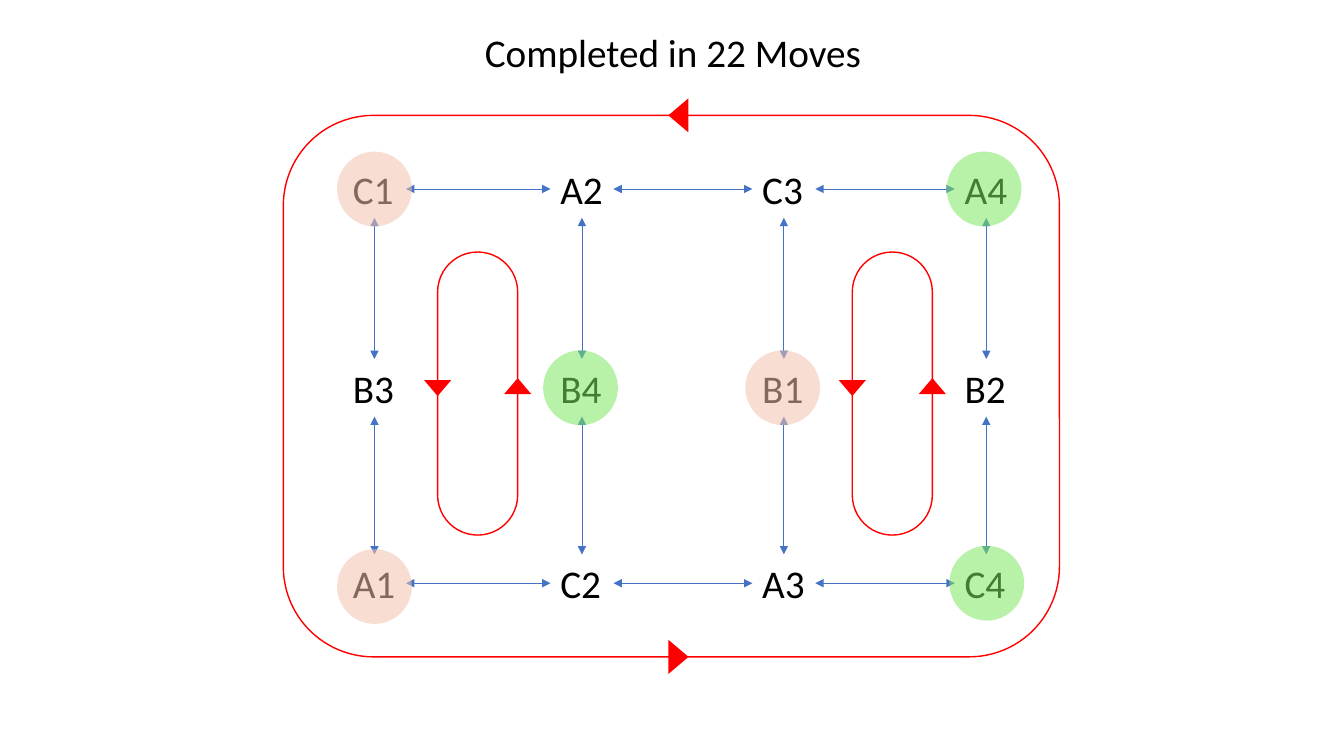
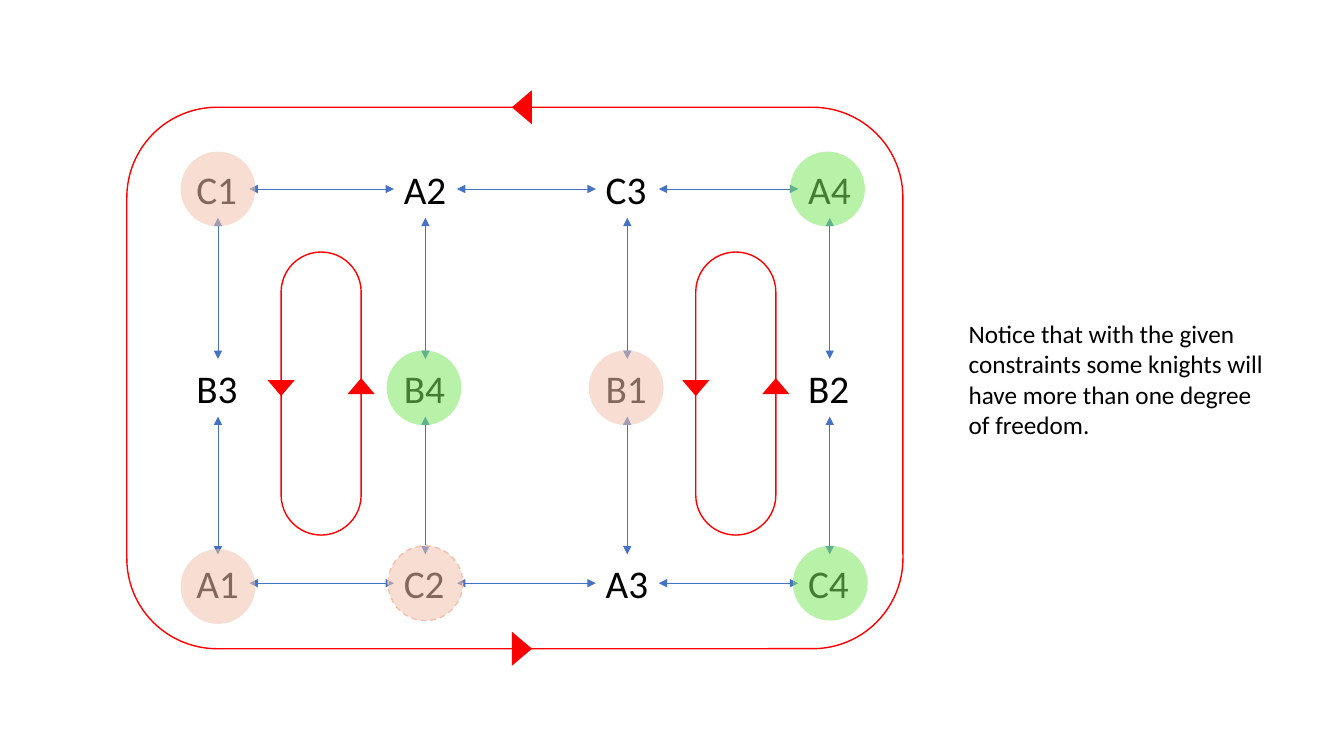
"""Draw two boards of knights on linked squares, with the turning directions."""
from dataclasses import dataclass
from itertools import pairwise, product
from typing import Optional

from pptx import Presentation
from pptx.dml.color import RGBColor
from pptx.enum.dml import MSO_LINE
from pptx.enum.shapes import MSO_CONNECTOR, MSO_SHAPE
from pptx.enum.text import MSO_AUTO_SIZE
from pptx.oxml import parse_xml
from pptx.oxml.ns import nsdecls, qn
from pptx.shapes.autoshape import Shape
from pptx.slide import Slide
from pptx.util import Pt

COLORS = {"text": "000000", "link": "4472C4", "turn": "FF0000",
          "green": "7CE75F", "peach": "F2C2AC"}
FONT = "Calibri"
TOKEN_ALPHA = 54000

SQUARES = (("C1", "A2", "C3", "A4"), ("B3", "B4", "B1", "B2"), ("A1", "C2", "A3", "C4"))
COLUMNS = (42.6, 190.8, 335, 479.6)
ROWS = (114.4, 256.4, 396)
LABEL_WIDTH, LABEL_HEIGHT = 45, 41.2
TOKEN_SIZE = 53.4
FRAME_WIDTH, FRAME_HEIGHT = 554.4, 386.8
FRAME_ARROW_X = 282.2
LOOP_OFFSETS = (110.2, 406.4)
LOOP_TOP, LOOP_WIDTH, LOOP_HEIGHT = 180, 57.2, 202.2
LOOP_DOWN_Y, LOOP_UP_Y = 277.2, 275.8
FRAME_ARROW = (24.4, 14.4)
LOOP_ARROW = (19.4, 11.4)


@dataclass(frozen=True)
class Token:
    square: str
    color: str
    nudge_x: float = 0
    nudge_y: float = 0
    dashed: bool = False


@dataclass(frozen=True)
class Caption:
    lines: tuple[str, ...]
    left: float
    top: float
    width: float
    height: float
    size: float
    wrap: bool = False


@dataclass(frozen=True)
class Board:
    left: float
    frame_top: float
    tokens: tuple[Token, ...]
    caption: Caption


TOKENS = (
    Token("B4", "green", -1), Token("A1", "peach", 0, 2.4), Token("B1", "peach", -0.8),
    Token("C1", "peach"), Token("C4", "green", 0.4), Token("A4", "green", -1.6),
)
BOARDS = (
    Board(202.4, 82.4, TOKENS,
          Caption(("Completed in 22 Moves",), 339.2, 16.6, 386, 41.2, 28, True)),
    Board(90.6, 76.6, TOKENS + (Token("C2", "peach", 0, 0, True),),
          Caption(("Notice that with the given", "constraints some knights will",
                   "have more than one degree", "of freedom."),
                  684.8, 224, 226.8, 94.4, 18)),
)


def rgb(name: str) -> RGBColor:
    return RGBColor.from_string(COLORS[name])


def add_text(slide: Slide, caption: Caption) -> None:
    box = slide.shapes.add_textbox(Pt(caption.left), Pt(caption.top),
                                   Pt(caption.width), Pt(caption.height))
    frame = box.text_frame
    frame.word_wrap = caption.wrap
    frame.auto_size = MSO_AUTO_SIZE.SHAPE_TO_FIT_TEXT
    for index, line in enumerate(caption.lines):
        paragraph = frame.add_paragraph() if index else frame.paragraphs[0]
        run = paragraph.add_run()
        run.text = line
        run.font.name = FONT
        run.font.size = Pt(caption.size)
        run.font.color.rgb = rgb("text")


def add_link(slide: Slide, x1: float, y1: float, x2: float, y2: float) -> None:
    connector = slide.shapes.add_connector(MSO_CONNECTOR.STRAIGHT,
                                           Pt(x1), Pt(y1), Pt(x2), Pt(y2))
    connector.line.color.rgb = rgb("link")
    connector.line.width = Pt(0.5)
    properties = connector.element.spPr
    outline = properties.find(qn("a:ln"))
    for end in ("headEnd", "tailEnd"):
        outline.append(parse_xml(f'<a:{end} {nsdecls("a")} type="triangle"/>'))
    properties.append(parse_xml(f'<a:effectLst {nsdecls("a")}/>'))


def add_shape(slide: Slide, kind: MSO_SHAPE, left: float, top: float, width: float,
              height: float, fill: Optional[str] = None,
              line: Optional[str] = None) -> Shape:
    shape = slide.shapes.add_shape(kind, Pt(left), Pt(top), Pt(width), Pt(height))
    shape.shadow.inherit = False
    if fill:
        shape.fill.solid()
        shape.fill.fore_color.rgb = rgb(fill)
    else:
        shape.fill.background()
    if line:
        shape.line.color.rgb = rgb(line)
        shape.line.width = Pt(1)
    else:
        shape.line.fill.background()
    return shape


def add_arrow(slide: Slide, center_x: float, center_y: float,
              size: tuple[float, float], rotation: float) -> None:
    width, height = size
    arrow = add_shape(slide, MSO_SHAPE.ISOSCELES_TRIANGLE, center_x - width / 2,
                      center_y - height / 2, width, height, "turn")
    arrow.rotation = rotation


def add_squares(slide: Slide, board: Board) -> None:
    columns = [board.left + offset for offset in COLUMNS]
    for top, names in zip(ROWS, SQUARES):
        for left, name in zip(columns, names):
            add_text(slide, Caption((name,), left, top, LABEL_WIDTH, LABEL_HEIGHT, 28))
    for left, (upper, lower) in product(columns, pairwise(ROWS)):
        x = left + LABEL_WIDTH / 2
        add_link(slide, x, upper + LABEL_HEIGHT, x, lower)
    for top, (left, right) in product((ROWS[0], ROWS[-1]), pairwise(columns)):
        y = top + LABEL_HEIGHT / 2
        add_link(slide, left + LABEL_WIDTH, y, right, y)


def add_token(slide: Slide, board: Board, token: Token) -> None:
    row = next(index for index, names in enumerate(SQUARES) if token.square in names)
    column = SQUARES[row].index(token.square)
    left = board.left + COLUMNS[column] + (LABEL_WIDTH - TOKEN_SIZE) / 2 + token.nudge_x
    top = ROWS[row] + (LABEL_HEIGHT - TOKEN_SIZE) / 2 + token.nudge_y
    shape = add_shape(slide, MSO_SHAPE.OVAL, left, top, TOKEN_SIZE, TOKEN_SIZE,
                      token.color, token.color if token.dashed else None)
    if token.dashed:
        shape.line.dash_style = MSO_LINE.DASH
    color = shape.element.spPr.find(qn("a:solidFill")).find(qn("a:srgbClr"))
    color.append(parse_xml(f'<a:alpha {nsdecls("a")} val="{TOKEN_ALPHA}"/>'))


def add_turns(slide: Slide, board: Board) -> None:
    add_shape(slide, MSO_SHAPE.ROUNDED_RECTANGLE, board.left, board.frame_top,
              FRAME_WIDTH, FRAME_HEIGHT, line="turn")
    arrow_x = board.left + FRAME_ARROW_X
    add_arrow(slide, arrow_x, board.frame_top, FRAME_ARROW, 270)
    add_arrow(slide, arrow_x, board.frame_top + FRAME_HEIGHT, FRAME_ARROW, 90)
    for offset in LOOP_OFFSETS:
        left = board.left + offset
        loop = add_shape(slide, MSO_SHAPE.ROUNDED_RECTANGLE, left, LOOP_TOP,
                         LOOP_WIDTH, LOOP_HEIGHT, line="turn")
        loop.adjustments[0] = 0.5
        add_arrow(slide, left, LOOP_DOWN_Y, LOOP_ARROW, 180)
        add_arrow(slide, left + LOOP_WIDTH, LOOP_UP_Y, LOOP_ARROW, 0)


def main() -> None:
    presentation = Presentation()
    presentation.slide_width = Pt(960)
    presentation.slide_height = Pt(540)
    for board in BOARDS:
        slide = presentation.slides.add_slide(presentation.slide_layouts[6])
        add_squares(slide, board)
        for token in board.tokens:
            add_token(slide, board, token)
        add_turns(slide, board)
        add_text(slide, board.caption)
    presentation.save("out.pptx")


main()
